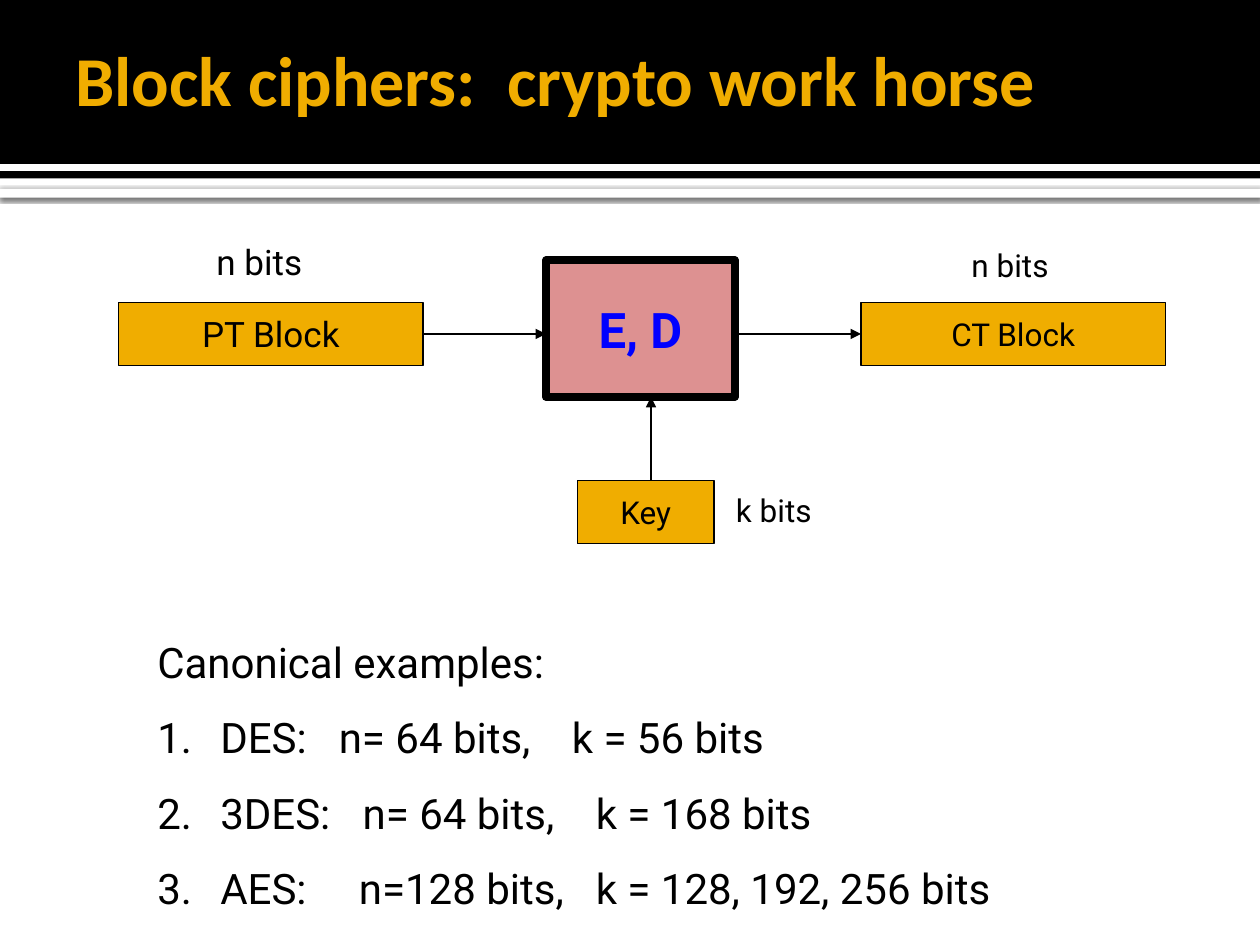
from lxml import etree
from pptx import Presentation
from pptx.dml.color import RGBColor
from pptx.enum.shapes import MSO_CONNECTOR, MSO_SHAPE
from pptx.enum.text import MSO_ANCHOR, MSO_AUTO_SIZE, PP_ALIGN
from pptx.oxml.ns import qn
from pptx.util import Inches, Pt

RECTANGLE, STRAIGHT = MSO_SHAPE.RECTANGLE, MSO_CONNECTOR.STRAIGHT
MIDDLE, TOP = MSO_ANCHOR.MIDDLE, MSO_ANCHOR.TOP
FIXED, GROW = MSO_AUTO_SIZE.NONE, MSO_AUTO_SIZE.SHAPE_TO_FIT_TEXT
LEFT, CENTER = PP_ALIGN.LEFT, PP_ALIGN.CENTER
LEFT_SIDE, RIGHT_SIDE = 1, 3
COLUMNS, ROWS = 120, 90
COLORS = {"black": "000000", "white": "FFFFFF", "gold": "F0AD00",
          "rose": "DD9191", "blue": "0000FF"}
BODY_FONT, TITLE_FONT = "Roboto", "Calibri"


class CipherSlide:
    """Draws styled elements on a slide with a grid of 120 by 90 units."""

    def __init__(self, deck):
        self.deck = deck
        self.slide = deck.slides.add_slide(deck.slide_layouts[5])
        self.shapes = self.slide.shapes

    def grid(self, column, row):
        return (round(self.deck.slide_width * column / COLUMNS),
                round(self.deck.slide_height * row / ROWS))

    def area(self, column, row, columns, rows):
        return self.grid(column, row) + self.grid(columns, rows)

    def color(self, name):
        return RGBColor.from_string(COLORS[name])

    def add_words(self, paragraph, words, size, color="black", font=BODY_FONT, bold=False):
        run = paragraph.add_run()
        run.text = words
        style = {"name": font, "size": Pt(size), "bold": bold}
        for attribute, value in style.items():
            setattr(run.font, attribute, value)
        run.font.color.rgb = self.color(color)

    def frame(self, owner, **settings):
        for attribute, value in settings.items():
            setattr(owner.text_frame, attribute, value)
        return owner.text_frame.paragraphs[0]

    def title(self, words, place):
        heading = self.shapes.title
        heading.left, heading.top, heading.width, heading.height = self.area(*place)
        first = self.frame(heading, vertical_anchor=MIDDLE, word_wrap=True,
                           auto_size=FIXED, margin_left=Inches(0.1),
                           margin_right=Inches(0.05), margin_top=Inches(0.05),
                           margin_bottom=Inches(0.05))
        first.alignment = LEFT
        self.add_words(first, words, 40, "gold", TITLE_FONT, True)
        self.shapes._spTree.append(heading._element)

    def band(self, place, fill):
        stripe = self.shapes.add_shape(RECTANGLE, *self.area(*place))
        stripe.shadow.inherit = False
        stripe.fill.solid()
        stripe.fill.fore_color.rgb = self.color(fill)
        stripe.line.fill.background()
        return stripe

    def cast_shadow(self, stripe):
        effects = stripe._element.spPr.find(qn("a:effectLst"))
        shadow = etree.SubElement(effects, qn("a:outerShdw"), blurRad=str(Pt(2.5)),
                                  dist=str(Pt(0.8)), dir="5400000",
                                  algn="tl", rotWithShape="0")
        tint = etree.SubElement(shadow, qn("a:srgbClr"), val=COLORS["black"])
        etree.SubElement(tint, qn("a:alpha"), val="60000")

    def block(self, words, place, size=18, fill="gold", border=0.75, **style):
        box = self.band(place, fill)
        box.line.color.rgb = self.color("black")
        box.line.width = Pt(border)
        first = self.frame(box, vertical_anchor=MIDDLE, word_wrap=False)
        first.alignment = CENTER
        self.add_words(first, words, size, **style)
        return box

    def label(self, words, place, size=18):
        note = self.shapes.add_textbox(*self.area(*place))
        first = self.frame(note, vertical_anchor=TOP, word_wrap=False, auto_size=GROW)
        first.alignment = CENTER
        self.add_words(first, words, size)

    def rule(self, start, end, color="black", width=0.75):
        stroke = self.shapes.add_connector(STRAIGHT, *self.grid(*start), *self.grid(*end))
        stroke.line.color.rgb = self.color(color)
        stroke.line.width = Pt(width)
        etree.SubElement(stroke._element.spPr, qn("a:effectLst"))
        return stroke

    def arrow(self, start, end):
        stroke = self.rule(start, end)
        outline = stroke._element.spPr.find(qn("a:ln"))
        etree.SubElement(outline, qn("a:tailEnd"), type="triangle")
        return stroke

    def examples(self, heading, items, place):
        listing = self.shapes.add_textbox(*self.area(*place))
        first = self.frame(listing, word_wrap=True, auto_size=GROW)
        self.add_words(first, heading, 24)
        for words, stops in items:
            entry = listing.text_frame.add_paragraph()
            props = entry._p.get_or_add_pPr()
            props.set("marL", str(Inches(0.5)))
            props.set("indent", str(Inches(-0.5)))
            etree.SubElement(props, qn("a:buFont"), typeface="+mj-lt")
            etree.SubElement(props, qn("a:buAutoNum"), type="arabicPeriod")
            tabs = etree.SubElement(props, qn("a:tabLst"))
            for stop in stops:
                etree.SubElement(tabs, qn("a:tab"), pos=str(Inches(stop)), algn="l")
            entry.line_spacing = 1.5
            self.add_words(entry, words, 24)


def main():
    deck = Presentation()
    deck.slide_width, deck.slide_height = Inches(10), Inches(7.5)
    page = CipherSlide(deck)

    page.cast_shadow(page.band((0, 18, COLUMNS, 0.84), "white"))
    page.band((0, 0, COLUMNS, 17), "black")
    page.rule((0, 16), (COLUMNS, 16), "white", 4)
    page.title("Block ciphers:  crypto work horse", (6, 1, 99, 13))

    flow, cipher_bottom, key_top = 31.8, 37.8, 45.8
    page.block("E, D", (52, 24.8, 18, 13), 28, "rose", 4.5, color="blue", bold=True)
    plain_arrow = page.arrow((40, flow), (52, flow))
    cipher_arrow = page.arrow((70, flow), (82, flow))
    ciphertext = page.block("CT Block", (82, flow - 3, 29, 6))
    page.label("n bits", (91.3, 22.8, 9.8, 4.8))
    plaintext = page.block("PT Block", (11.3, flow - 3, 29, 6), 20)
    page.label("n bits", (19.4, 22.3, 10.6, 5.3), 20)
    page.block("Key", (55, key_top, 13, 6))
    page.label("k bits", (68.9, 46.2, 9.6, 4.8))
    page.arrow((62, key_top), (62, cipher_bottom))
    plain_arrow.begin_connect(plaintext, RIGHT_SIDE)
    cipher_arrow.end_connect(ciphertext, LEFT_SIDE)

    page.examples("Canonical examples:", [
        ("DES:\tn= 64 bits,\tk = 56 bits", (1.44, 3.29)),
        ("3DES:\tn= 64 bits,\tk = 168 bits", (1.63, 3.48)),
        ("AES:\tn=128 bits,\tk = 128, 192, 256 bits", (1.6, 3.48)),
    ], (13.8, 60, 87.5, 27.8))
    deck.save("out.pptx")


if __name__ == "__main__":
    main()
